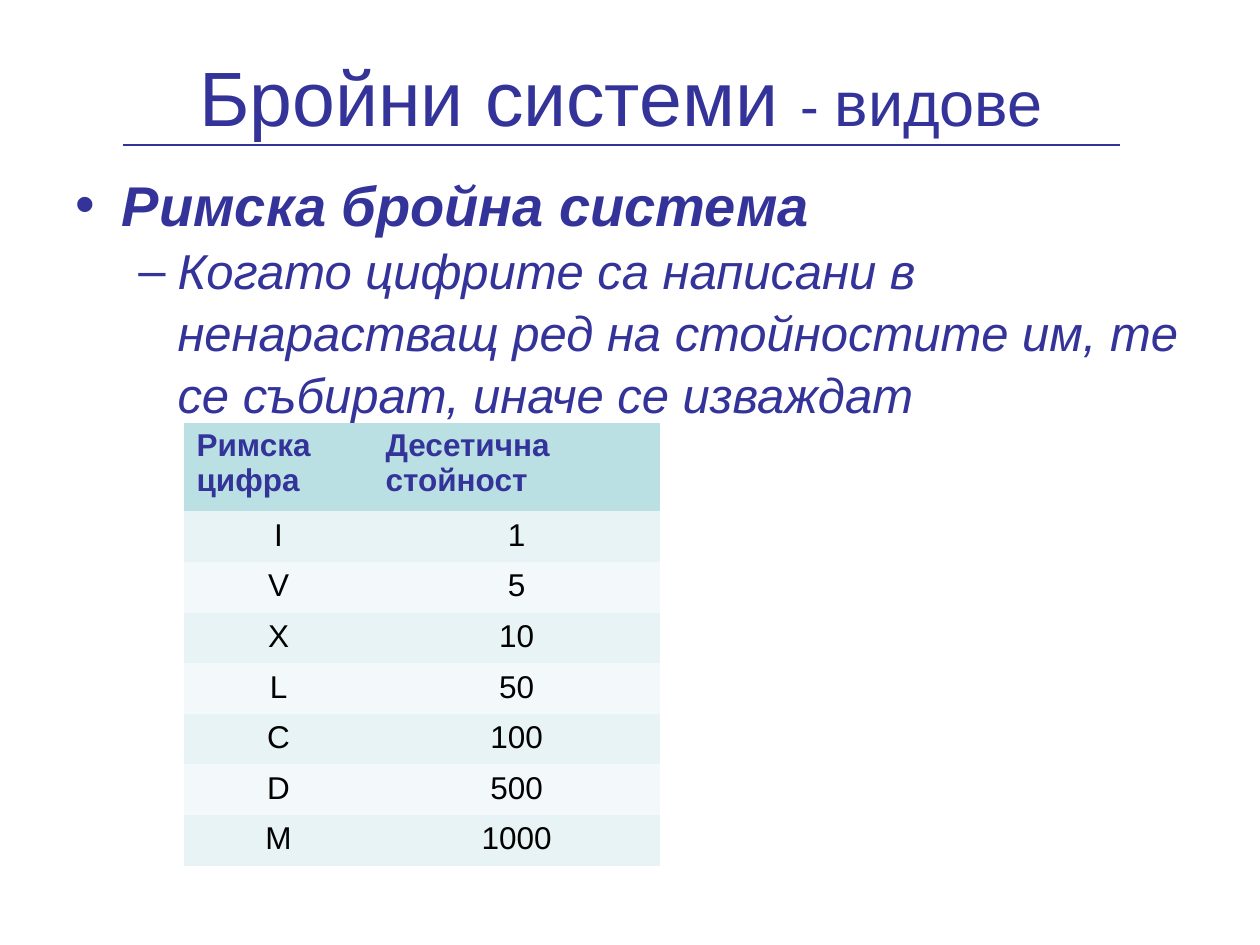
from lxml.etree import SubElement
from pptx import Presentation
from pptx.dml.color import RGBColor
from pptx.enum.shapes import MSO_CONNECTOR
from pptx.enum.text import MSO_ANCHOR, PP_ALIGN
from pptx.oxml.ns import qn
from pptx.util import Cm, Pt

NAVY = RGBColor(0x33, 0x33, 0x99)
BLACK = RGBColor(0, 0, 0)
HEAD_FILL = RGBColor(0xBB, 0xE0, 0xE3)
BAND_FILLS = (RGBColor(0xF3, 0xF9, 0xFA), RGBColor(0xE7, 0xF3, 0xF4))
NO_STYLE = "{2D5ABB26-0587-4C30-8999-92F81FD0307C}"

TITLE = [("Бройни системи ", 44), ("- ", 32), ("видове", 36)]
BODY = [
    dict(text="Римска бройна система", size=32, bold=True, level=0,
         bullet="•", margin=0.94, indent=-0.94),
    dict(text="Когато цифрите са написани в ненарастващ ред на стойностите им, "
              "те се събират, иначе се изваждат", size=28, bold=False, level=1,
         bullet="–", margin=2.06, indent=-0.79),
]
ROWS = [
    ("Римска цифра", "Десетична стойност"),
    ("I", "1"), ("V", "5"), ("X", "10"), ("L", "50"),
    ("C", "100"), ("D", "500"), ("M", "1000"),
]
COL_WIDTHS = (3.81, 5.79)
HEAD_HEIGHT, ROW_HEIGHT = 1.78, 1.02


def add_run(p, text, size, **formats):
    r = p.add_run()
    r.text = text
    r.font.color.rgb = formats.pop("color", NAVY)
    for name, value in dict(name="Arial", size=Pt(size), **formats).items():
        setattr(r.font, name, value)


def add_text_frame(s, left, top, width, height, anchor):
    tf = s.shapes.add_textbox(Cm(left), Cm(top), Cm(width), Cm(height)).text_frame
    tf.word_wrap = True
    tf.vertical_anchor = anchor
    return tf


def add_bullet(p, char, margin, indent):
    pPr = p._p.get_or_add_pPr()
    pPr.set("marL", str(Cm(margin)))
    pPr.set("indent", str(Cm(indent)))
    color = SubElement(pPr, qn("a:buClr"))
    SubElement(color, qn("a:srgbClr"), val=str(NAVY))
    SubElement(pPr, qn("a:buFont"), typeface="Arial")
    SubElement(pPr, qn("a:buChar"), char=char)


def add_title(s):
    p = add_text_frame(s, 1.09, 0.53, 22.86, 2.72, MSO_ANCHOR.MIDDLE).paragraphs[0]
    p.alignment = PP_ALIGN.CENTER
    p.line_spacing = 1.05
    for text, size in TITLE:
        add_run(p, text, size)
    line = s.shapes.add_connector(MSO_CONNECTOR.STRAIGHT, Cm(2.48), Cm(2.92),
                                  Cm(22.58), Cm(2.92))
    line.line.color.rgb = NAVY
    line.line.width = Pt(1.5)
    SubElement(line._element.spPr, qn("a:effectLst"))


def add_body(s):
    tf = add_text_frame(s, 1.27, 3.25, 22.86, 14.68, MSO_ANCHOR.TOP)
    for i, item in enumerate(BODY):
        p = tf.add_paragraph() if i else tf.paragraphs[0]
        p.level = item["level"]
        p.line_spacing = 1.05
        add_bullet(p, item["bullet"], item["margin"], item["indent"])
        add_run(p, item["text"], item["size"], bold=item["bold"], italic=True)


def add_numerals(s):
    heights = [HEAD_HEIGHT] + [ROW_HEIGHT] * (len(ROWS) - 1)
    frame = s.shapes.add_table(len(ROWS), len(COL_WIDTHS), Cm(3.71), Cm(8.53),
                               Cm(sum(COL_WIDTHS)), Cm(sum(heights)))
    table = frame.table
    table._tbl.tblPr.find(qn("a:tableStyleId")).text = NO_STYLE
    for column, width in zip(table.columns, COL_WIDTHS):
        column.width = Cm(width)
    for i, (row, height, values) in enumerate(zip(table.rows, heights, ROWS)):
        row.height = Cm(height)
        for cell, value in zip(row.cells, values):
            cell.fill.solid()
            cell.fill.fore_color.rgb = BAND_FILLS[i % 2] if i else HEAD_FILL
            p = cell.text_frame.paragraphs[0]
            p.alignment = PP_ALIGN.CENTER if i else PP_ALIGN.LEFT
            p.line_spacing = 1.0 if i else 0.97
            add_run(p, value, 18, bold=i == 0, color=BLACK if i else NAVY)


def main():
    prs = Presentation()
    prs.slide_width, prs.slide_height = Cm(25.4), Cm(19.05)
    s = prs.slides.add_slide(prs.slide_layouts[6])
    add_title(s)
    add_body(s)
    add_numerals(s)
    prs.save("out.pptx")


if __name__ == "__main__":
    main()
